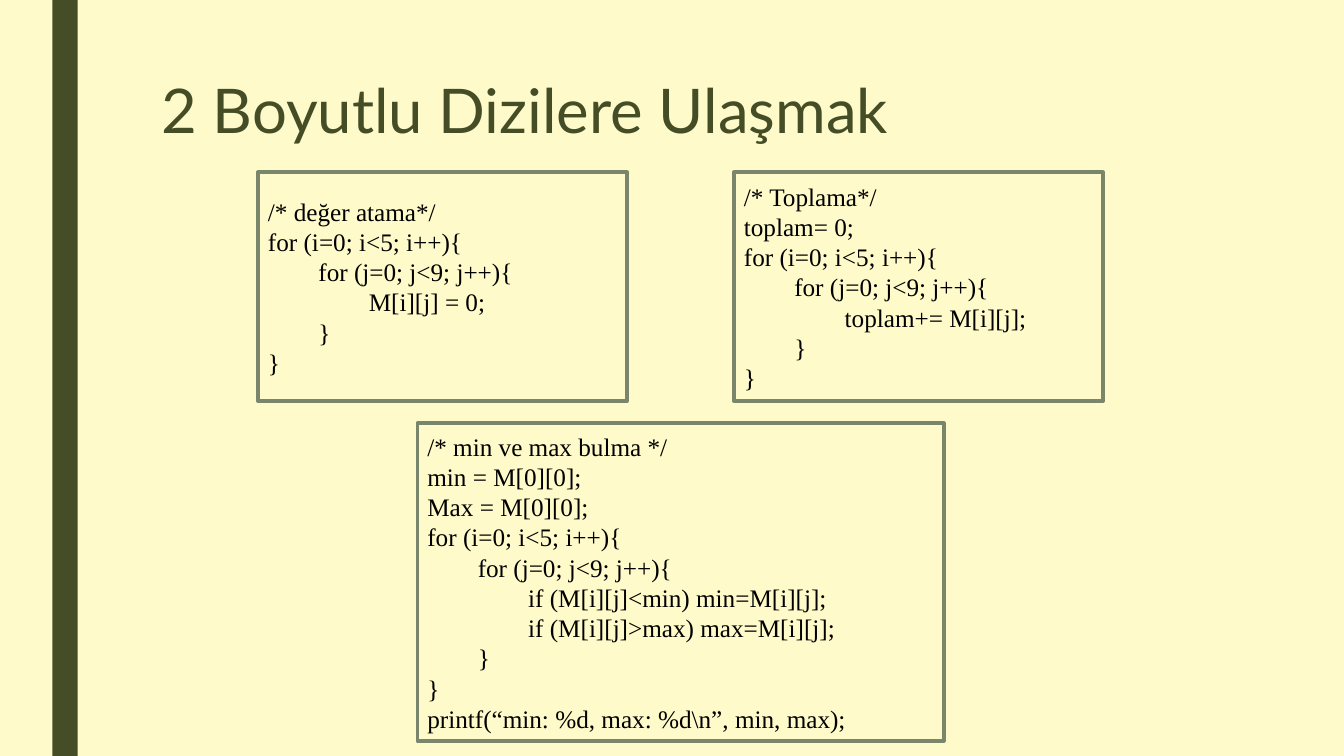
from dataclasses import dataclass

from lxml.etree import SubElement
from pptx import Presentation
from pptx.dml.color import RGBColor
from pptx.enum.shapes import MSO_SHAPE as Shape
from pptx.enum.text import MSO_ANCHOR as Anchor, PP_ALIGN as Align
from pptx.oxml.ns import qn
from pptx.slide import Slide
from pptx.text.text import _Paragraph as Paragraph
from pptx.util import Inches, Pt

COLORS = {
    "page": "FEFAC9",
    "accent": "444D26",
    "border": "7A866C",
    "code": "000000",
}
TAB_STEP = 0.5


@dataclass
class CodeBox:
    left: float
    top: float
    width: float
    height: float
    code: str


CODE_BOXES = [
    CodeBox(2.56, 1.71, 3.66, 2.27, """/* değer atama*/
for (i=0; i<5; i++){
\tfor (j=0; j<9; j++){
\t\tM[i][j] = 0;
\t}
}"""),
    CodeBox(7.28, 1.71, 3.66, 2.27, """/* Toplama*/
toplam= 0;
for (i=0; i<5; i++){
\tfor (j=0; j<9; j++){
\t\ttoplam+= M[i][j];
\t}
}"""),
    CodeBox(4.14, 4.2, 5.22, 3.15, """/* min ve max bulma */
min = M[0][0];
Max = M[0][0];
for (i=0; i<5; i++){
\tfor (j=0; j<9; j++){
\t\tif (M[i][j]<min) min=M[i][j];
\t\tif (M[i][j]>max) max=M[i][j];
\t}
}
printf(“min: %d, max: %d\\n”, min, max);"""),
]


def color(name: str) -> RGBColor:
    return RGBColor.from_string(COLORS[name])


def add_span(para: Paragraph, text: str, font: str, size: float, ink: str) -> None:
    span = para.add_run()
    span.text = text
    span.font.name = font
    span.font.size = Pt(size)
    span.font.color.rgb = color(ink)


def add_tab_stops(para: Paragraph, count: int) -> None:
    tabs = SubElement(para._p.get_or_add_pPr(), qn("a:tabLst"))
    for step in range(1, count + 1):
        SubElement(tabs, qn("a:tab"), pos=str(Inches(step * TAB_STEP)), algn="l")


def add_side_bar(page: Slide) -> None:
    bar = page.shapes.add_shape(
        Shape.RECTANGLE, Inches(0.52), Inches(0), Inches(0.25), Inches(7.5))
    bar.shadow.inherit = False
    bar.fill.solid()
    bar.fill.fore_color.rgb = color("accent")
    bar.line.fill.background()


def add_title(page: Slide, text: str) -> None:
    box = page.shapes.add_textbox(
        Inches(1.5), Inches(0.75), Inches(10.5), Inches(0.99))
    box.text_frame.word_wrap = True
    para = box.text_frame.paragraphs[0]
    para.line_spacing = 0.89
    add_span(para, text, "Lato", 44, "accent")


def add_code_box(page: Slide, item: CodeBox) -> None:
    box = page.shapes.add_shape(
        Shape.RECTANGLE, Inches(item.left), Inches(item.top),
        Inches(item.width), Inches(item.height))
    box.shadow.inherit = False
    box.fill.background()
    box.line.color.rgb = color("border")
    box.line.width = Pt(2.75)
    frame = box.text_frame
    frame.word_wrap = True
    frame.vertical_anchor = Anchor.MIDDLE
    for index, line in enumerate(item.code.split("\n")):
        para = frame.add_paragraph() if index else frame.paragraphs[0]
        para.alignment = Align.LEFT
        add_tab_stops(para, 2)
        add_span(para, line, "Times New Roman", 18, "code")


def main() -> None:
    deck = Presentation()
    deck.slide_width = Inches(13.33)
    deck.slide_height = Inches(7.5)
    page = deck.slides.add_slide(deck.slide_layouts[6])

    # Background and side bar
    page.background.fill.solid()
    page.background.fill.fore_color.rgb = color("page")
    add_side_bar(page)

    # Title and code samples
    add_title(page, "2 Boyutlu Dizilere Ulaşmak")
    for item in CODE_BOXES:
        add_code_box(page, item)

    deck.save("out.pptx")


if __name__ == "__main__":
    main()
